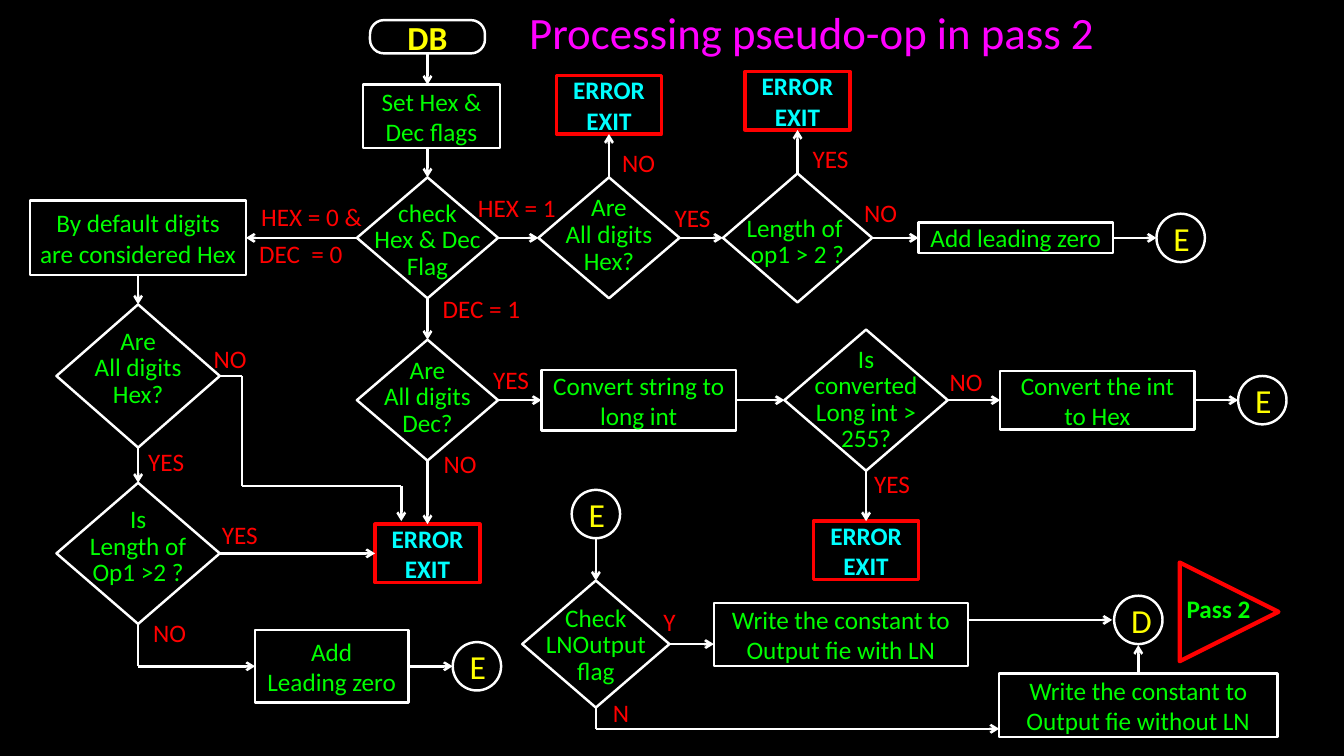
from dataclasses import dataclass
from itertools import pairwise

from lxml.etree import SubElement
from pptx import Presentation
from pptx.dml.color import RGBColor
from pptx.enum.shapes import MSO_CONNECTOR, MSO_SHAPE
from pptx.enum.text import PP_ALIGN
from pptx.oxml.ns import qn
from pptx.util import Pt

PX = 9144
WHITE, BLACK, RED = "FFFFFF", "000000", "FF0000"
GREEN, YELLOW, CYAN, MAGENTA = "00FF00", "FFFF00", "00FFFF", "FF00FF"
TOP, LEFT, BOTTOM, RIGHT = range(4)
CIRCLE = 48
ERROR_SIZE = (104, 58)


def rgb(color):
    return RGBColor.from_string(color)


def write(shape, text, color, size=18, bold=False, align=PP_ALIGN.CENTER, spacing=None):
    frame = shape.text_frame
    frame.word_wrap = True
    frame.text = text
    for paragraph in frame.paragraphs:
        paragraph.alignment = align
        paragraph.line_spacing = spacing
        font = paragraph.font
        font.name, font.size, font.bold = "Calibri", Pt(size), bold
        font.color.rgb = rgb(color)


def side_point(shape, side):
    across, down = {TOP: (1, 0), LEFT: (0, 1), BOTTOM: (1, 2), RIGHT: (2, 1)}[side]
    return shape.left + shape.width * across // 2, shape.top + shape.height * down // 2


@dataclass
class Region:
    """Part of the chart; all positions in px are relative to its corner."""
    shapes: object
    left: int
    top: int

    def place(self, x, y):
        return (self.left + x) * PX, (self.top + y) * PX

    def outline(self, kind, x, y, width, height, color=WHITE, weight=1.75):
        shape = self.shapes.add_shape(kind, *self.place(x, y), width * PX, height * PX)
        shape.shadow.inherit = False
        shape.fill.background()
        shape.line.color.rgb = rgb(color)
        shape.line.width = Pt(weight)
        return shape

    def words(self, text, x, y, width, height, color, **style):
        box = self.shapes.add_textbox(*self.place(x, y), width * PX, height * PX)
        write(box, text, color, **style)
        return box

    def answer(self, text, x, y, width=60):
        frame = self.words(text, x, y, width, 30, RED, align=PP_ALIGN.LEFT).text_frame
        frame.margin_left = frame.margin_top = frame.margin_right = frame.margin_bottom = 0

    def step(self, text, x, y, width, height):
        step = self.outline(MSO_SHAPE.RECTANGLE, x, y, width, height)
        write(step, text, GREEN)
        return step

    def question(self, text, x, y, width, height, text_drop):
        diamond = self.outline(MSO_SHAPE.DIAMOND, x, y, width, height)
        self.words(text, x - 11, y + text_drop, width + 22, 90, GREEN, spacing=Pt(19))
        return diamond

    def error_exit(self, x, y):
        error = self.outline(MSO_SHAPE.RECTANGLE, x, y, *ERROR_SIZE, RED, 2.5)
        write(error, "ERROR\nEXIT", CYAN, bold=True)
        return error

    def junction(self, letter, x, y):
        circle = self.outline(MSO_SHAPE.FLOWCHART_CONNECTOR, x, y, CIRCLE, CIRCLE)
        write(circle, letter, YELLOW, size=24)

    def flow(self, *stops):
        """Arrow through stops, each (x, y) or (shape, side)."""
        ends = [self.place(*stop) if isinstance(stop[0], int) else side_point(*stop)
                for stop in stops]
        legs = [self.shapes.add_connector(MSO_CONNECTOR.STRAIGHT, *begin, *end)
                for begin, end in pairwise(ends)]
        for leg in legs:
            leg.line.color.rgb = rgb(WHITE)
            leg.line.width = Pt(1.75)
            SubElement(leg.element.spPr, qn("a:effectLst"))
        if not isinstance(stops[0][0], int):
            legs[0].begin_connect(*stops[0])
        if not isinstance(stops[-1][0], int):
            legs[-1].end_connect(*stops[-1])
        SubElement(legs[-1].line._get_or_add_ln(), qn("a:tailEnd"), type="arrow")


def draw_start(region):
    db = region.outline(MSO_SHAPE.ROUNDED_RECTANGLE, 13, 0, 114, 33)
    db.adjustments[0] = 0.42
    write(db, "DB", YELLOW, size=24, bold=True)
    region.step("Set Hex & Dec flags", 6, 64, 136, 63)
    check = region.question("check\nHex & Dec\nFlag", 0, 156, 140, 120, 18)
    region.flow((db, BOTTOM), (70, 64))
    region.flow((70, 127), (check, TOP))
    region.words("Processing pseudo-op in pass 2", 161, -20, 602, 64, MAGENTA,
                 size=32, align=PP_ALIGN.LEFT)
    return check


def draw_hex_branch(region, check):
    digits = region.question("Are\nAll digits\nHex?", 0, 105, 140, 120, 13)
    length = region.question("Length of \nop1 > 2 ?", 183, 101, 148, 128, 37)
    not_hex = region.error_exit(18, 4)
    too_long = region.error_exit(205, 0)
    add_zero = region.step("Add leading zero", 377, 150, 193, 30)
    region.junction("E", 613, 141)
    region.answer("HEX = 1", -60, 120, 85)
    region.answer("NO", 83, 75)
    region.answer("YES", 135, 130)
    region.answer("YES", 272, 71)
    region.answer("NO", 323, 125)
    region.flow((check, RIGHT), (digits, LEFT))
    region.flow((digits, TOP), (not_hex, BOTTOM))
    region.flow((digits, RIGHT), (length, LEFT))
    region.flow((length, TOP), (too_long, BOTTOM))
    region.flow((length, RIGHT), (add_zero, LEFT))
    region.flow((add_zero, RIGHT), (613, 165))


def draw_decimal_branch(region, check):
    digits = region.question("Are\nAll digits\nDec?", 0, 46, 140, 120, 13)
    convert = region.step("Convert string to long int", 183, 76, 193, 60)
    limit = region.question("Is\nconverted\nLong int >\n255?", 424, 36, 162, 140, 12)
    to_hex = region.step("Convert the int to Hex", 638, 77, 193, 58)
    not_decimal = region.error_exit(18, 229)
    too_big = region.error_exit(453, 226)
    region.junction("E", 874, 82)
    region.answer("DEC = 1", 85, 0, 85)
    region.answer("NO", 86, 154)
    region.answer("YES", 135, 70)
    region.answer("YES", 513, 174)
    region.answer("NO", 588, 72)
    region.flow((check, BOTTOM), (digits, TOP))
    region.flow((digits, BOTTOM), (not_decimal, TOP))
    region.flow((digits, RIGHT), (convert, LEFT))
    region.flow((convert, RIGHT), (limit, LEFT))
    region.flow((limit, BOTTOM), (too_big, TOP))
    region.flow((limit, RIGHT), (to_hex, LEFT))
    region.flow((to_hex, RIGHT), (874, 106))
    return not_decimal


def draw_default_branch(region, check, error):
    default = region.step("By default digits are considered Hex", 0, 0, 214, 74)
    digits = region.question("Are\nAll digits\nHex?", 26, 103, 162, 142, 19)
    length = region.question("Is\nLength of\nOp1 >2 ?", 26, 280, 162, 140, 19)
    add_zero = region.step("Add\nLeading zero", 223, 426, 152, 72)
    region.junction("E", 419, 438)
    region.answer("HEX = 0 &", 229, 1, 128)
    region.answer("DEC  = 0", 227, 37, 108)
    region.answer("NO", 182, 142)
    region.answer("YES", 117, 244)
    region.answer("YES", 190, 316)
    region.answer("NO", 122, 413)
    region.flow((check, LEFT), (default, RIGHT))
    region.flow((default, BOTTOM), (digits, TOP))
    region.flow((digits, RIGHT), (210, 174), (210, 283), (368, 283), (368, 318))
    region.flow((digits, BOTTOM), (length, TOP))
    region.flow((length, RIGHT), (error, LEFT))
    region.flow((length, BOTTOM), (107, 462), (add_zero, LEFT))
    region.flow((add_zero, RIGHT), (419, 462))


def draw_output(region):
    region.junction("E", 49, 0)
    check = region.question("Check\nLNOutput\nflag", 0, 90, 146, 126, 20)
    region.step("Write the constant to Output fie with LN", 190, 112, 252, 63)
    without_ln = region.step("Write the constant to Output fie without LN", 473, 182, 276, 63)
    region.junction("D", 587, 105)
    region.answer("Y", 140, 116)
    region.answer("N", 90, 206)
    region.flow((73, CIRCLE), (check, TOP))
    region.flow((check, RIGHT), (190, 153))
    region.flow((check, BOTTOM), (73, 237), (473, 237))
    region.flow((442, 129), (585, 129))
    region.flow((without_ln, TOP), (611, 154))
    next_pass = region.outline(MSO_SHAPE.FLOWCHART_EXTRACT, 652, 72, 98, 98, RED, 3)
    next_pass.rotation = 90
    region.words("Pass 2", 649, 98, 93, 40, GREEN, bold=True, align=PP_ALIGN.LEFT)


def main():
    deck = Presentation()
    deck.slide_width, deck.slide_height = 1333 * PX, 750 * PX
    slide = deck.slides.add_slide(deck.slide_layouts[6])
    slide.background.fill.solid()
    slide.background.fill.fore_color.rgb = rgb(BLACK)
    check = draw_start(Region(slide.shapes, 354, 20))
    draw_hex_branch(Region(slide.shapes, 534, 71), check)
    error = draw_decimal_branch(Region(slide.shapes, 354, 291), check)
    draw_default_branch(Region(slide.shapes, 30, 199), check, error)
    draw_output(Region(slide.shapes, 518, 486))
    deck.save("out.pptx")


if __name__ == "__main__":
    main()
